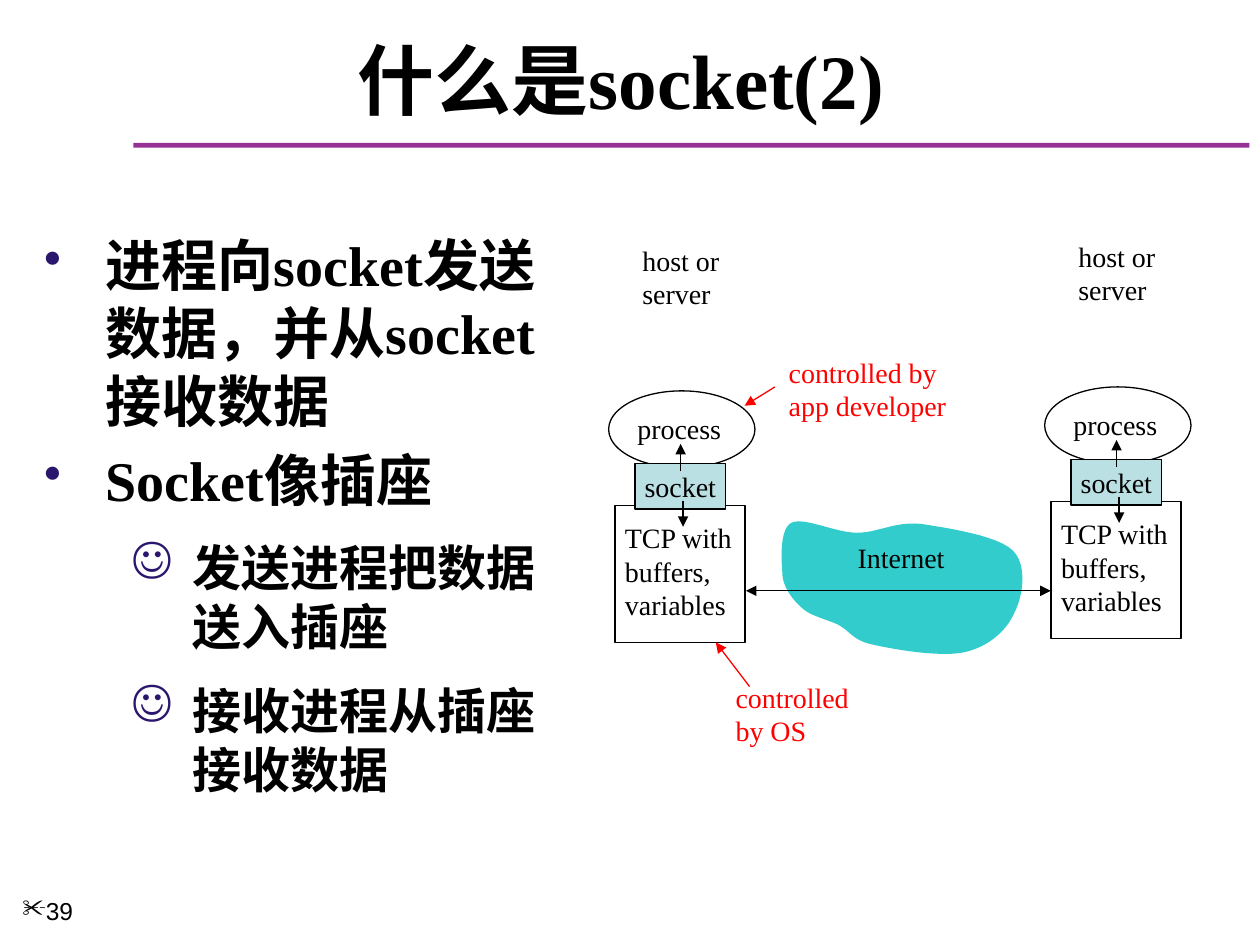
from dataclasses import dataclass

import pptx
import pptx.dml.color
import pptx.enum.shapes
import pptx.enum.text
import pptx.oxml
import pptx.oxml.ns
import pptx.util

Cm = pptx.util.Cm
Pt = pptx.util.Pt
SHAPE = pptx.enum.shapes.MSO_SHAPE
ALIGN = pptx.enum.text.PP_ALIGN
ANCHOR = pptx.enum.text.MSO_ANCHOR


@dataclass(frozen=True)
class Theme:
    ink: str = "000000"
    rule: str = "973095"
    bullet: str = "2B166E"
    cloud: str = "33CCCC"
    socket: str = "BBE0E3"
    note: str = "FF0000"
    latin: str = "Times New Roman"
    asian: str = "Noto Sans CJK SC"
    number_font: str = "Arial"
    title: int = 44
    body: tuple = (32, 28)
    label: int = 16
    number: int = 14
    line: float = 0.75


THEME = Theme()


def rgb(value):
    return pptx.dml.color.RGBColor.from_string(value)


def add_xml(parent, tag, **attrs):
    el = pptx.oxml.ns.qn(tag)
    child = parent.makeelement(el, attrs)
    parent.append(child)
    return child


def style_text(p, size, color=THEME.ink, font=THEME.latin, bold=False):
    for r in p.runs:
        r.font.size = Pt(size)
        r.font.bold = bold
        r.font.name = font
        r.font.color.rgb = rgb(color)
        add_xml(r.font._element, "a:ea", typeface=THEME.asian)


def set_bullet(p, char, color, percent=100, left=0, hang=0):
    pPr = p._p.get_or_add_pPr()
    pPr.set("marL", str(Cm(left)))
    pPr.set("indent", str(-Cm(hang)))
    add_xml(add_xml(pPr, "a:buClr"), "a:srgbClr", val=color)
    add_xml(pPr, "a:buSzPct", val=str(percent * 1000))
    add_xml(pPr, "a:buChar", char=char)


def add_text(slide, box, text, size=THEME.label, color=THEME.ink, font=THEME.latin,
             bold=False, align=ALIGN.LEFT, anchor=ANCHOR.TOP, wrap=False):
    sp = slide.shapes.add_textbox(*map(Cm, box))
    tf = sp.text_frame
    tf.word_wrap = wrap
    tf.vertical_anchor = anchor
    tf.text = text
    for p in tf.paragraphs:
        p.alignment = align
        style_text(p, size, color, font, bold)
    return sp


def paint(sp, fill=None, line=None):
    sp.shadow.inherit = False
    if fill:
        sp.fill.solid()
        sp.fill.fore_color.rgb = rgb(fill)
    else:
        sp.fill.background()
    if line:
        sp.line.color.rgb = rgb(line)
        sp.line.width = Pt(THEME.line)
    else:
        sp.line.fill.background()


def add_box(slide, kind, box, fill=None, line=THEME.ink):
    sp = slide.shapes.add_shape(kind, *map(Cm, box))
    paint(sp, fill, line)
    return sp


def add_arrow(slide, start, end, color=THEME.ink, both=False):
    s = slide.shapes.add_connector(
        pptx.enum.shapes.MSO_CONNECTOR.STRAIGHT, *map(Cm, (*start, *end)))
    s.line.color.rgb = rgb(color)
    s.line.width = Pt(THEME.line)
    ln = s.line._get_or_add_ln()
    if both:
        add_xml(ln, "a:headEnd", type="triangle")
    add_xml(ln, "a:tailEnd", type="triangle")
    add_xml(s._element.spPr, "a:effectLst")


def add_title(slide, box, text):
    left, top, width, height = box
    add_box(slide, SHAPE.RECTANGLE, (left + 2.26, top + 2.24, 22.5, 0.1), THEME.rule, None)
    add_text(slide, box, text, THEME.title, bold=True, align=ALIGN.CENTER,
             anchor=ANCHOR.MIDDLE, wrap=True)


def add_body(slide, box, items):
    sp = add_text(slide, box, "\n".join(text for _, text in items), wrap=True)
    levels = (("•", 90, 1.24, 0.2), ("☺", 100, 3, 0.5))
    for i, (level, _) in enumerate(items):
        p = sp.text_frame.paragraphs[i]
        char, percent, left, gap = levels[level]
        size = THEME.body[level]
        p.level = level
        p.line_spacing = Pt(size * 1.21)
        if i:
            p.space_before = Pt(size * gap)
        set_bullet(p, char, THEME.bullet, percent, left, 1.24)
        style_text(p, size, bold=True)


def add_host(slide, box):
    left, top, width, height = box

    def at(x, y, *size):
        return (left + x, top + y, *size)

    add_box(slide, SHAPE.OVAL, at(0, 3.1, width, 1.55))
    add_text(slide, at(0.33, 3.4, 2.21, 0.94), "process")
    add_box(slide, SHAPE.RECTANGLE, at(0.13, 5.41, 2.62, height - 5.41))
    add_text(slide, at(0.08, 5.59, 2.69, 2.29), "TCP with\nbuffers,\nvariables")
    sp = add_box(slide, SHAPE.RECTANGLE, at(0.53, 4.57, 1.83, 0.91), THEME.socket)
    tf = sp.text_frame
    tf.word_wrap = False
    tf.vertical_anchor = ANCHOR.MIDDLE
    tf.text = "socket"
    p = tf.paragraphs[0]
    p.alignment = ALIGN.CENTER
    style_text(p, THEME.label)
    add_arrow(slide, at(1.45, 4.72), at(1.45, 4.17))
    add_arrow(slide, at(1.5, 5.31), at(1.5, 5.84))
    add_text(slide, at(0.43, 0, 2.06, 1.63), "host or\nserver")


def bezier(p0, p1, p2, p3, steps=12):
    for i in range(1, steps + 1):
        t = i / steps
        weights = ((1 - t) ** 3, 3 * t * (1 - t) ** 2, 3 * t * t * (1 - t), t ** 3)
        yield tuple(sum(w * p[k] for w, p in zip(weights, (p0, p1, p2, p3))) for k in (0, 1))


def add_cloud(slide, box):
    left, top, width, height = box
    outline = [
        (0.05, 1.12), (0.03, 0.84), (0, 0.25), (0.23, 0.13),
        (0.48, 0), (1.12, 0.33), (1.55, 0.33), (1.98, 0.33), (2.31, 0.1), (2.84, 0.15),
        (3.35, 0.23), (4.39, 0.38), (4.7, 0.69), (5, 0.99), (4.9, 1.63), (4.72, 1.96),
        (4.57, 2.31), (4.19, 2.64), (3.71, 2.74), (3.25, 2.84), (2.34, 2.69), (1.9, 2.59),
        (1.47, 2.51), (1.42, 2.31), (1.17, 2.18), (0.91, 2.06), (0.61, 2.01), (0.43, 1.83),
        (0.23, 1.65), (0.05, 1.4), (0.05, 1.12)]
    points = [outline[0]]
    for i in range(0, len(outline) - 1, 3):
        points.extend(bezier(*outline[i:i + 4]))
    points = [(Cm(left + x), Cm(top + y)) for x, y in points]
    fb = slide.shapes.build_freeform(*points[0])
    fb.add_line_segments(points[1:], close=True)
    paint(fb.convert_to_shape(), THEME.cloud)
    add_text(slide, (left + 1.3, top + 0.36, 2.29, 0.94), "Internet", align=ALIGN.CENTER)


def add_note(slide, box, text, start, end):
    left, top, width, height = box
    add_text(slide, box, text, color=THEME.note)
    add_arrow(slide, (left + start[0], top + start[1]),
              (left + end[0], top + end[1]), THEME.note)


def add_number(slide, box, text):
    sp = add_text(slide, box, text, THEME.number, font=THEME.number_font, wrap=True)
    set_bullet(sp.text_frame.paragraphs[0], "✂", THEME.ink)


def main():
    prs = pptx.Presentation()
    prs.slide_width, prs.slide_height = Cm(25.4), Cm(19.05)
    slide = prs.slides.add_slide(prs.slide_layouts[6])
    add_title(slide, (0.43, 0.64, 24.56, 1.9), "什么是socket(2) ")
    add_number(slide, (0.2, 17.93, 2.74, 1.12), "39")
    add_body(slide, (0.64, 4.52, 11, 13.5), [
        (0, "进程向socket发送数据，并从socket接收数据"),
        (0, "Socket像插座"),
        (1, "发送进程把数据送入插座"),
        (1, "接收进程从插座接收数据")])
    add_cloud(slide, (15.72, 10.41, 5.03, 2.87))
    for left, top in ((12.27, 4.78), (21.06, 4.7)):
        add_host(slide, (left, top, 2.95, 8.18))
    add_arrow(slide, (15.04, 11.91), (21.18, 11.91), both=True)
    add_note(slide, (14.58, 13.59, 2.82, 2.29), "controlled\nby OS", (0.53, 0.25), (-0.15, -0.64))
    add_note(slide, (15.65, 7.04, 3.71, 1.63), "controlled by\napp developer",
             (-0.03, 0.76), (-0.64, 1.14))
    prs.save("out.pptx")


if __name__ == "__main__":
    main()
